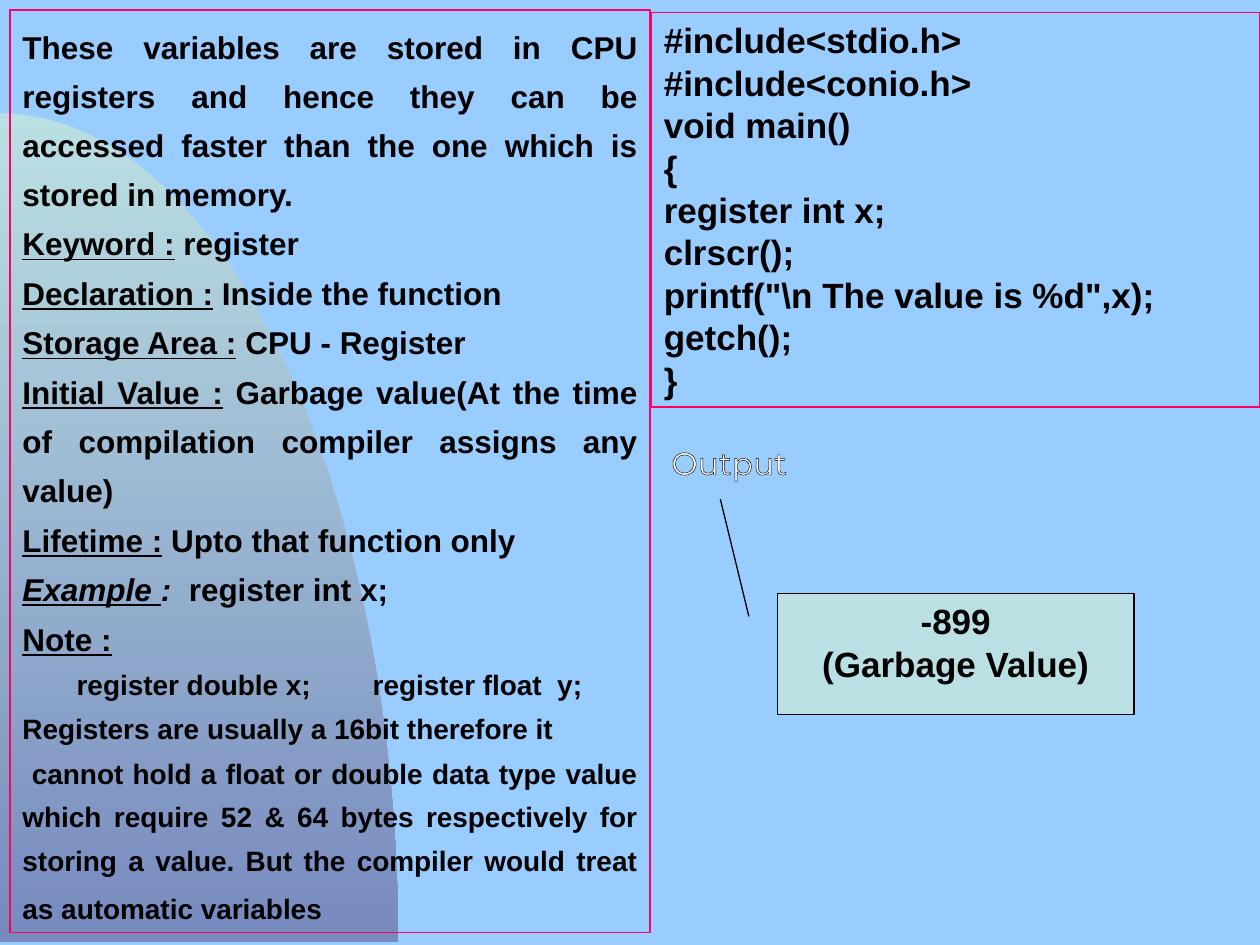
import math

from lxml import etree
from pptx import Presentation
from pptx.dml.color import RGBColor
from pptx.enum import shapes, text
from pptx.oxml import ns
from pptx.util import Inches, Pt

SKY = RGBColor(0x99, 0xCC, 0xFF)
MINT = RGBColor(0xBB, 0xE0, 0xE3)
DUSK = RGBColor(0x77, 0x8A, 0xBE)
PINK = RGBColor(0xFF, 0x00, 0x66)
BLACK = RGBColor(0, 0, 0)
WHITE = RGBColor(0xFF, 0xFF, 0xFF)
LEFT, CENTER, JUSTIFY = text.PP_ALIGN.LEFT, text.PP_ALIGN.CENTER, text.PP_ALIGN.JUSTIFY


def write(frame, paragraphs, align, line_spacing=None):
    """Each paragraph is a list of (text, font settings) runs."""
    for number, runs in enumerate(paragraphs):
        paragraph = frame.paragraphs[0] if number == 0 else frame.add_paragraph()
        spacing = {"alignment": align, "space_before": Pt(0.1), "space_after": Pt(0.1)}
        if line_spacing:
            spacing["line_spacing"] = line_spacing
        for key, value in spacing.items():
            setattr(paragraph, key, value)
        for words, settings in runs:
            run = paragraph.add_run()
            run.text = words
            run.font.color.rgb = settings.get("color", BLACK)
            for key, value in ({"name": "Arial", "bold": True} | settings).items():
                if key != "color":
                    setattr(run.font, key, value)


def add_panel(kind, box, line_color, fill_color=None):
    panel = slide.shapes.add_shape(kind, *(Inches(v) for v in box))
    panel.shadow.inherit = False
    panel.line.color.rgb = line_color
    panel.line.width = Pt(0.75)
    if fill_color is None:
        panel.fill.background()
    else:
        panel.fill.solid()
        panel.fill.fore_color.rgb = fill_color
    panel.text_frame.word_wrap = True
    panel.text_frame.vertical_anchor = text.MSO_ANCHOR.TOP
    return panel


prs = Presentation()
prs.slide_width, prs.slide_height = Inches(10), Inches(7.5)
slide = prs.slides.add_slide(prs.slide_layouts[6])
slide.background.fill.solid()
slide.background.fill.fore_color.rgb = SKY

# Quarter ellipse behind the notes
center_y, radius_x, radius_y, steps = 7.48, 3.16, 6.58, 90
arc = [(Inches(radius_x * math.sin(a)), Inches(center_y - radius_y * math.cos(a)))
       for a in (math.pi / 2 * i / steps for i in range(steps + 1))]
builder = slide.shapes.build_freeform(0, Inches(center_y))
builder.add_line_segments(arc)
dome = builder.convert_to_shape()
dome.shadow.inherit = False
dome.line.fill.background()
dome.fill.gradient()
dome.fill.gradient_angle = 270
for stop, color in zip(dome.fill.gradient_stops, (MINT, DUSK)):
    stop.color.rgb = color

# Notes on register variables
BODY, SMALL = {"size": Pt(18)}, {"size": Pt(16)}
LABEL = BODY | {"underline": True}
facts = [
    ("Keyword :", " register"),
    ("Declaration :", " Inside the function"),
    ("Storage Area :", " CPU - Register"),
    ("Initial Value :", " Garbage value(At the time of compilation compiler assigns any value)"),
    ("Lifetime :", " Upto that function only"),
]
notes = [[("These variables are stored in CPU registers and hence they can be accessed "
           "faster than the one which is stored in memory.", BODY)]]
notes += [[(label, LABEL), (fact, BODY)] for label, fact in facts]
notes += [
    [("Example ", LABEL | {"italic": True}), (":  ", BODY | {"italic": True}),
     ("register int x;", BODY)],
    [("Note :", LABEL)],
    [("\tregister double x;\tregister float  y;", SMALL)],
    [("Registers are usually a 16bit therefore it", SMALL)],
    [(" cannot hold a float or double data type value which require 52 & 64 bytes "
      "respectively for storing a value. But the compiler would treat as automatic "
      "variables", SMALL), (" ", BODY)],
]
notes_frame = add_panel(shapes.MSO_SHAPE.RECTANGLE, (0.08, 0.08, 5.08, 7.32), PINK).text_frame
write(notes_frame, notes, JUSTIFY, 1.3)

# Tab stops for the two declarations
declarations = notes_frame.paragraphs[8]
tabs = etree.SubElement(declarations._p.get_or_add_pPr(), ns.qn("a:tabLst"))
for position in (0.43, 2.78):
    etree.SubElement(tabs, ns.qn("a:tab"), pos=str(Inches(position)), algn="l")

# Program listing
CODE = {"size": Pt(20)}
program = ["#include<stdio.h>", "#include<conio.h>", "void main()", "{", "register int x;",
           "clrscr();", 'printf("\\n The value is %d",x);', "getch();", "}"]
code_panel = add_panel(shapes.MSO_SHAPE.RECTANGLE, (5.17, 0.1, 4.83, 3.13), PINK)
write(code_panel.text_frame, [[(line, CODE)] for line in program], LEFT)

# Outlined output heading
heading = slide.shapes.add_textbox(Inches(5.23), Inches(3.42), Inches(1.85), Inches(0.5)).text_frame
heading.word_wrap = False
heading.vertical_anchor = text.MSO_ANCHOR.MIDDLE
write(heading, [[("Output", {"size": Pt(18), "name": "Montserrat", "bold": False,
                             "color": WHITE})]], LEFT)
outline = etree.Element(ns.qn("a:ln"), w=str(Pt(0.75)))
outline_fill = etree.SubElement(outline, ns.qn("a:solidFill"))
etree.SubElement(outline_fill, ns.qn("a:srgbClr"), val=str(BLACK))
heading.paragraphs[0].runs[0]._r.get_or_add_rPr().insert(0, outline)

# Output callout
callout = add_panel(shapes.MSO_SHAPE.LINE_CALLOUT_1, (6.17, 4.71, 2.83, 0.96), BLACK, MINT)
for index, value in enumerate((0.19, -0.08, -0.78, -0.16)):
    callout.adjustments[index] = value
write(callout.text_frame, [[(line, CODE)] for line in ("-899", "(Garbage Value)")], CENTER)

prs.save("out.pptx")
